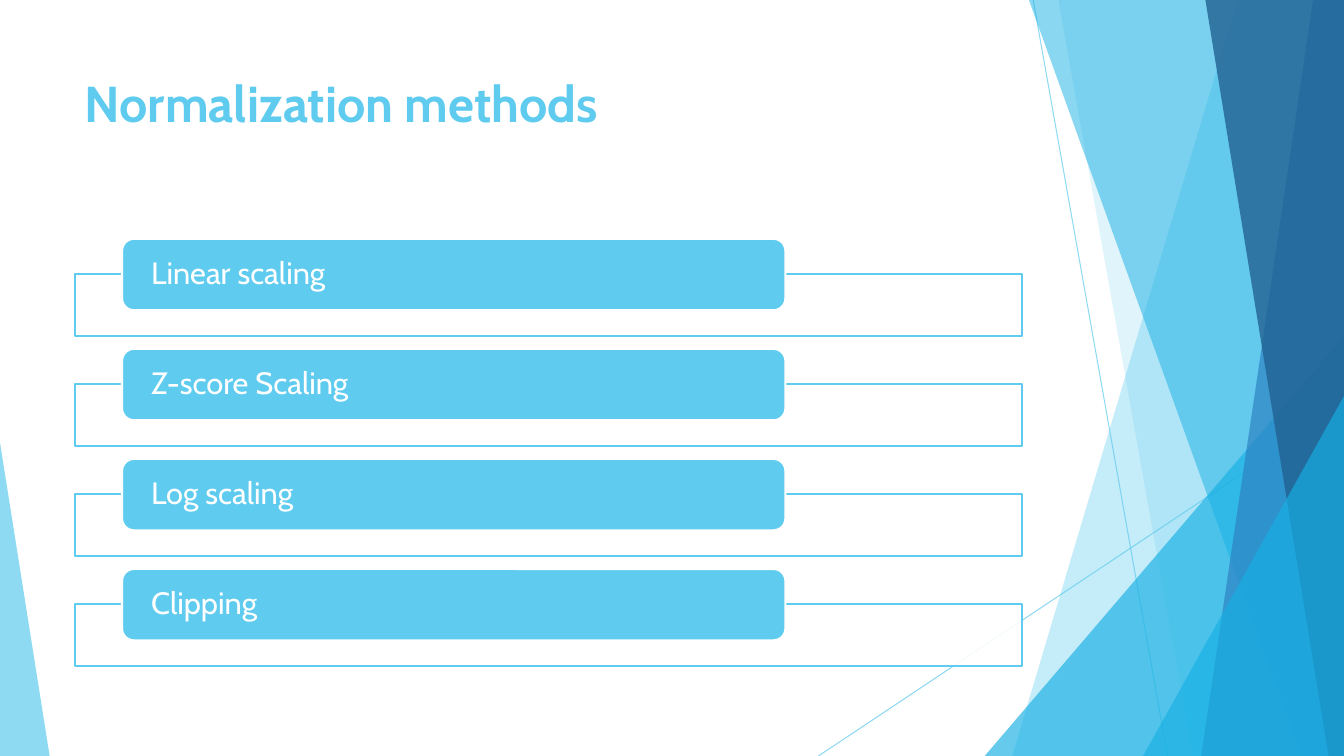
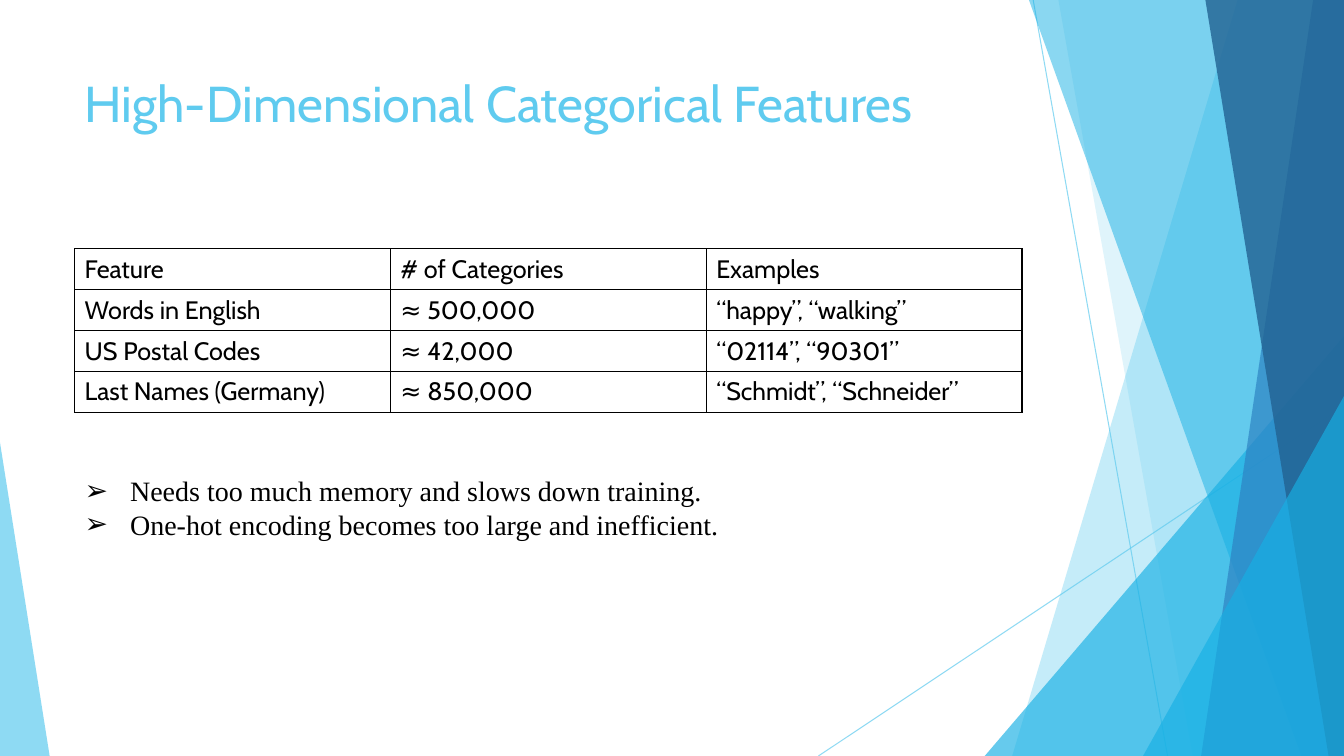
import lxml.etree
import pptx
import pptx.dml.color
import pptx.enum.shapes
import pptx.enum.text
import pptx.oxml.ns
import pptx.util

Pt = pptx.util.Pt
qn = pptx.oxml.ns.qn
SHAPES = pptx.enum.shapes.MSO_SHAPE
ANCHOR = pptx.enum.text.MSO_ANCHOR

WIDTH, HEIGHT = 960, 540
LEFT, CONTENT_WIDTH = 53.3, 676.8
SKY, CYAN, BLUE, NAVY = "5FCBEF", "17B0E4", "2E83C3", "226292"
WHITE, BLACK = "FFFFFF", "000000"
TITLE_ONLY, TITLE_AND_BODY = 5, 1

# Back to front: a band gives its left edge at top and bottom,
# a wedge its left, top, width, height and the position of its tip.
RAYS = [((738, 0), (834, HEIGHT)), ((WIDTH, 290), (584.6, HEIGHT))]
BACKDROP = [
    ("band", (884, 723), SKY, 36),
    ("band", (756, 852), SKY, 20),
    ("wedge", (703.4, 240, 256.6, 300, 1), CYAN, 66),
    ("band", (735, 929.5), CYAN, 50),
    ("band", (938, 858), BLUE, 70),
    ("band", (861, 949), NAVY, 80),
    ("wedge", (816.5, 283, 143.5, 257, 1), CYAN, 66),
    ("wedge", (0, 316, 35.5, 224, 0), SKY, 70),
]

METHODS = ["Linear scaling", "Z-score Scaling", "Log scaling", "Clipping"]
FEATURES = [
    ("Feature", "# of Categories", "Examples"),
    ("Words in English", "≈ 500,000", "“happy”, “walking”"),
    ("US Postal Codes", "≈ 42,000", "“02114”, “90301”"),
    ("Last Names (Germany)", "≈ 850,000", "“Schmidt”, “Schneider”"),
]
DRAWBACKS = [
    "Needs too much memory and slows down training.",
    "One-hot encoding becomes too large and inefficient.",
]


def rgb(value):
    return pptx.dml.color.RGBColor.from_string(value)


def points(*lengths):
    return [Pt(length) for length in lengths]


def set_opacity(shape, percent):
    """Apply opacity to every colour the shape has so far."""
    for color in shape.element.iter(qn("a:srgbClr")):
        lxml.etree.SubElement(color, qn("a:alpha"), val=str(percent * 1000))


class Deck:
    """Holds the style, the presentation and the current slide."""

    font = "Cabin"

    def __init__(self):
        self.presentation = pptx.Presentation()
        self.presentation.slide_width = Pt(WIDTH)
        self.presentation.slide_height = Pt(HEIGHT)
        self.slide = None

    def add_slide(self, layout, title, bold=False):
        layouts = self.presentation.slide_layouts
        self.slide = self.presentation.slides.add_slide(layouts[layout])
        shape = self.slide.shapes.title
        frame = self.place(shape, LEFT, 48, CONTENT_WIDTH, 104, ANCHOR.TOP)
        self.add_text(frame.paragraphs[0], title, 36, SKY, bold=bold)

    def place(self, placeholder, left, top, width, height, anchor):
        placeholder.left, placeholder.top = points(left, top)
        placeholder.width, placeholder.height = points(width, height)
        frame = placeholder.text_frame
        frame.auto_size = pptx.enum.text.MSO_AUTO_SIZE.NONE
        frame.vertical_anchor = anchor
        return frame

    def add_text(self, paragraph, text, size, color, font=None, bold=False):
        paragraph.alignment = pptx.enum.text.PP_ALIGN.LEFT
        run = paragraph.add_run()
        run.text = text
        run.font.name = font or self.font
        run.font.size = Pt(size)
        run.font.bold = bold
        run.font.color.rgb = rgb(color)

    def paint(self, shape, fill, opacity=100, line=None):
        shape.shadow.inherit = False
        shape.fill.solid()
        shape.fill.fore_color.rgb = rgb(fill)
        if opacity < 100:
            set_opacity(shape, opacity)
        if line:
            shape.line.color.rgb = rgb(line)
            shape.line.width = Pt(1.5)
        else:
            shape.line.fill.background()

    def ray(self, shapes, start, end):
        straight = pptx.enum.shapes.MSO_CONNECTOR.STRAIGHT
        connector = shapes.add_connector(straight, *points(*start, *end))
        connector.line.color.rgb = rgb(SKY)
        connector.line.width = Pt(0.75)
        set_opacity(connector, 70)
        lxml.etree.SubElement(connector.element.spPr, qn("a:effectLst"))

    def band(self, shapes, top_x, bottom_x):
        builder = shapes.build_freeform(*points(top_x, 0))
        corners = [(WIDTH, 0), (WIDTH, HEIGHT), (bottom_x, HEIGHT)]
        builder.add_line_segments([points(*corner) for corner in corners])
        return builder.convert_to_shape()

    def wedge(self, shapes, left, top, width, height, tip):
        shape = shapes.add_shape(
            SHAPES.ISOSCELES_TRIANGLE, *points(left, top, width, height))
        shape.adjustments[0] = tip
        return shape

    def backdrop(self):
        """Draw the facets on the current slide, then move them to the master."""
        group = self.slide.shapes.add_group_shape()
        for start, end in RAYS:
            self.ray(group.shapes, start, end)
        draw = {"band": self.band, "wedge": self.wedge}
        for kind, geometry, color, opacity in BACKDROP:
            self.paint(draw[kind](group.shapes, *geometry), color, opacity)
        for number, properties in enumerate(group.element.iter(qn("p:cNvPr")), 100):
            properties.set("id", str(number))
        self.presentation.slide_master.shapes.element.append(group.element)

    def method_row(self, top, text):
        """An outlined frame with a filled label across its upper edge."""
        shapes = self.slide.shapes
        frame = shapes.add_shape(
            SHAPES.RECTANGLE, *points(LEFT, top + 25.2, CONTENT_WIDTH, 44))
        self.paint(frame, WHITE, 90, SKY)
        label = shapes.add_shape(
            SHAPES.ROUNDED_RECTANGLE, *points(87.2, top, 473.8, 51))
        self.paint(label, SKY, line=WHITE)
        text_frame = label.text_frame
        text_frame.word_wrap = True
        text_frame.vertical_anchor = ANCHOR.MIDDLE
        text_frame.margin_left = text_frame.margin_right = Pt(18.3)
        text_frame.margin_top = text_frame.margin_bottom = 0
        paragraph = text_frame.paragraphs[0]
        paragraph.line_spacing = 0.9
        self.add_text(paragraph, text, 22, WHITE)

    def table(self, rows, top, row_height):
        size = points(LEFT, top, CONTENT_WIDTH, row_height * len(rows))
        table = self.slide.shapes.add_table(len(rows), len(rows[0]), *size).table
        table.first_row = table.horz_banding = False
        for row, texts in enumerate(rows):
            for column, text in enumerate(texts):
                cell = table.cell(row, column)
                self.border(cell)
                cell.fill.background()
                cell.vertical_anchor = ANCHOR.MIDDLE
                self.add_text(cell.text_frame.paragraphs[0], text, 18, BLACK)

    def border(self, cell):
        properties = cell._tc.get_or_add_tcPr()
        for side in ("lnL", "lnR", "lnT", "lnB"):
            line = lxml.etree.SubElement(properties, qn("a:" + side), w=str(Pt(1)))
            fill = lxml.etree.SubElement(line, qn("a:solidFill"))
            lxml.etree.SubElement(fill, qn("a:srgbClr"), val=BLACK)

    def bullets(self, texts, top, height):
        body = self.slide.placeholders[1]
        frame = self.place(body, LEFT, top, 708.5, height, ANCHOR.MIDDLE)
        for index, text in enumerate(texts):
            paragraph = frame.add_paragraph() if index else frame.paragraphs[0]
            paragraph.space_before = Pt(0)
            self.add_text(paragraph, text, 20, BLACK, font="Times New Roman")
            properties = paragraph._p.get_or_add_pPr()
            properties.set("marL", str(Pt(32.4)))
            properties.set("indent", str(-Pt(32.4)))
            lxml.etree.SubElement(properties, qn("a:buChar"), char="➢")


def main():
    deck = Deck()

    deck.add_slide(TITLE_ONLY, "Normalization methods", bold=True)
    deck.backdrop()
    for index, method in enumerate(METHODS):
        deck.method_row(170.6 + 78.6 * index, method)

    deck.add_slide(TITLE_AND_BODY, "High-Dimensional Categorical Features")
    deck.table(FEATURES, top=177.8, row_height=29.1)
    deck.bullets(DRAWBACKS, top=334.8, height=55.4)

    deck.presentation.save("out.pptx")


if __name__ == "__main__":
    main()
